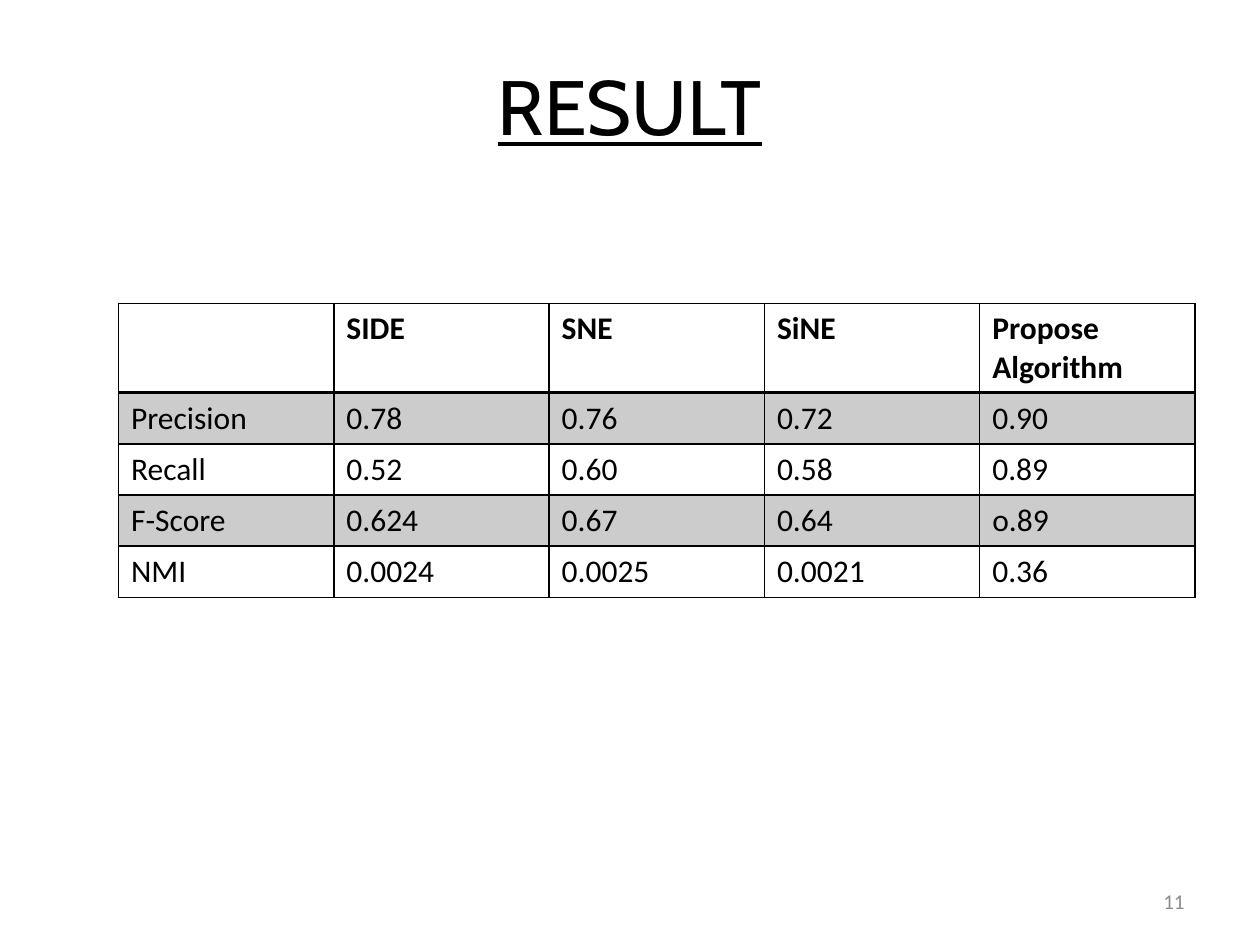
from lxml import etree
from pptx import Presentation
from pptx.dml.color import RGBColor
from pptx.enum.text import MSO_ANCHOR, PP_ALIGN
from pptx.oxml.ns import qn
from pptx.util import Cm, Pt

LEFT, CENTER, RIGHT = PP_ALIGN.LEFT, PP_ALIGN.CENTER, PP_ALIGN.RIGHT
MIDDLE = MSO_ANCHOR.MIDDLE

# Content
TITLE = "RESULT"
PAGE_NUMBER = "11"
METHODS = ["", "SIDE", "SNE", "SiNE", "Propose Algorithm"]
SCORES = [
    ["Precision", "0.78", "0.76", "0.72", "0.90"],
    ["Recall", "0.52", "0.60", "0.58", "0.89"],
    ["F-Score", "0.624", "0.67", "0.64", "o.89"],
    ["NMI", "0.0024", "0.0025", "0.0021", "0.36"],
]

# Layout in cm
COLUMN_WIDTH, HEADER_HEIGHT, SCORE_HEIGHT = 4.34, 1.8, 1.03
BLACK, GREY = "000000", "8C8C8C"
BAND_OPACITY = 20


def color(hex_code):
    return RGBColor.from_string(hex_code)


def write(frame, text, size=18, font="Calibri", ink=BLACK, align=LEFT,
          bold=False, underline=False):
    paragraph = frame.paragraphs[0]
    paragraph.alignment = align
    if not text:
        return
    run = paragraph.add_run()
    run.text = text
    run.font.size, run.font.name = Pt(size), font
    run.font.bold, run.font.underline = bold, underline
    run.font.color.rgb = color(ink)


def add_text(slide, box, text, **text_format):
    frame = slide.shapes.add_textbox(*map(Cm, box)).text_frame
    frame.word_wrap = True
    frame.vertical_anchor = MIDDLE
    write(frame, text, **text_format)


def shade(cell, banded):
    if not banded:
        cell.fill.background()
        return
    cell.fill.solid()
    cell.fill.fore_color.rgb = color(BLACK)
    ink = cell._tc.tcPr.find(".//" + qn("a:srgbClr"))
    etree.SubElement(ink, qn("a:alpha"), val=str(BAND_OPACITY * 1000))


def outline(cell, **widths):
    """Draw black borders; the line elements must precede the fill."""
    for position, side in enumerate("LRTB"):
        line = etree.Element(qn("a:ln" + side), w=str(Pt(widths.get(side, 1))))
        fill = etree.SubElement(line, qn("a:solidFill"))
        etree.SubElement(fill, qn("a:srgbClr"), val=BLACK)
        cell._tc.tcPr.insert(position, line)


def add_results(slide, left, top):
    rows = [METHODS] + SCORES
    heights = [HEADER_HEIGHT] + [SCORE_HEIGHT] * len(SCORES)
    table = slide.shapes.add_table(
        len(rows), len(METHODS), Cm(left), Cm(top),
        Cm(COLUMN_WIDTH * len(METHODS)), Cm(sum(heights))).table
    table.first_row = table.horz_banding = False
    for column in table.columns:
        column.width = Cm(COLUMN_WIDTH)
    for r, (values, height) in enumerate(zip(rows, heights)):
        table.rows[r].height = Cm(height)
        for c, value in enumerate(values):
            cell = table.cell(r, c)
            write(cell.text_frame, value, bold=r == 0)
            shade(cell, banded=r % 2 == 1)
            # A heavier rule separates the header from the scores
            outline(cell, T=2 if r == 1 else 1, B=2 if r == 0 else 1)


def main():
    deck = Presentation()
    deck.slide_width, deck.slide_height = Cm(25.4), Cm(19.05)
    slide = deck.slides.add_slide(deck.slide_layouts[6])
    add_text(slide, (1.27, 0.53, 22.86, 3.18), TITLE, size=44, font="Cabin",
             align=CENTER, underline=True)
    add_text(slide, (18.2, 17.66, 5.93, 1.01), PAGE_NUMBER, size=12, ink=GREY,
             align=RIGHT)
    add_results(slide, left=2.39, top=6.12)
    deck.save("out.pptx")


if __name__ == "__main__":
    main()
